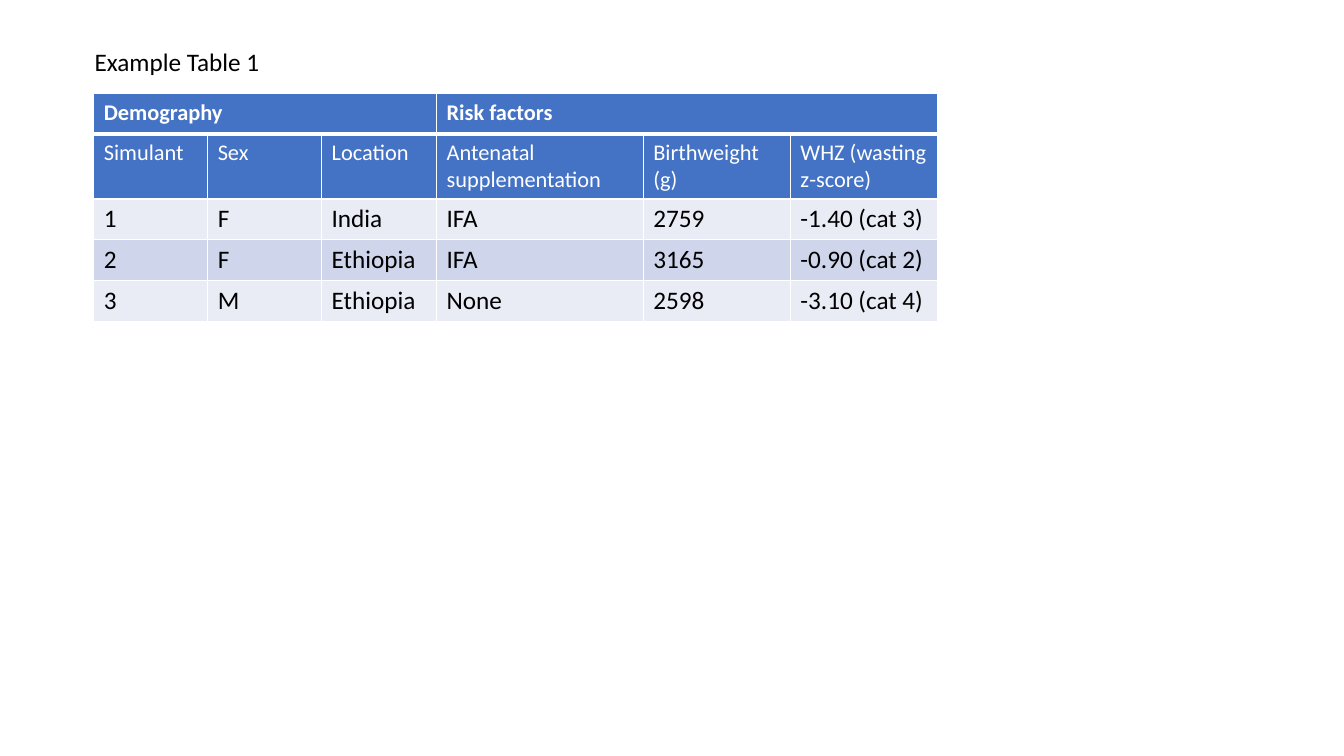
from lxml import etree
from pptx import Presentation
from pptx.dml.color import RGBColor
from pptx.enum.text import MSO_AUTO_SIZE
from pptx.oxml.ns import qn
from pptx.util import Inches, Pt

WHITE = RGBColor(0xFF, 0xFF, 0xFF)
BLACK = RGBColor(0x00, 0x00, 0x00)
HEADER_BLUE = RGBColor(0x44, 0x72, 0xC4)
BANDS = (RGBColor(0xE9, 0xEB, 0xF5), RGBColor(0xCF, 0xD5, 0xEA))
FONT = "Calibri"

COLUMN_WIDTHS = (1.13, 1.13, 1.14, 2.05, 1.46, 1.46)
ROW_HEIGHTS = (0.4, 0.63, 0.4, 0.4, 0.4)
GROUPS = (("Demography", 0, 2), ("Risk factors", 3, 5))
HEADINGS = ("Simulant", "Sex", "Location", "Antenatal supplementation",
            "Birthweight (g) ", "WHZ (wasting z-score)")
SIMULANTS = (
    ("1", "F", "India", "IFA", "2759", "-1.40 (cat 3)"),
    ("2", "F", "Ethiopia", "IFA", "3165", "-0.90 (cat 2)"),
    ("3", "M", "Ethiopia", "None", "2598", "-3.10 (cat 4)"),
)


def write_text(frame, text, size, color, bold=False):
    """Put one styled run into a text frame."""
    run = frame.paragraphs[0].add_run()
    run.text = text
    run.font.name = FONT
    run.font.size = Pt(size)
    run.font.bold = bold
    run.font.color.rgb = color


def set_borders(cell, top=1, bottom=1):
    """Draw white cell borders; widths are in points."""
    properties = cell._tc.get_or_add_tcPr()
    widths = (("a:lnL", 1), ("a:lnR", 1), ("a:lnT", top), ("a:lnB", bottom))
    for position, (tag, width) in enumerate(widths):
        line = etree.Element(qn(tag), w=str(Pt(width)))
        fill = etree.SubElement(line, qn("a:solidFill"))
        etree.SubElement(fill, qn("a:srgbClr"), val=str(WHITE))
        properties.insert(position, line)


def fill_row(table, row, texts, fill, size, color):
    """Fill one plain row of the table with text and a background."""
    for column, text in enumerate(texts):
        cell = table.cell(row, column)
        cell.fill.solid()
        cell.fill.fore_color.rgb = fill
        write_text(cell.text_frame, text, size, color)


def add_group_headers(table):
    """Merge and label the group headings in the top row."""
    for label, first, last in GROUPS:
        for column in range(first, last + 1):
            cell = table.cell(0, column)
            cell.fill.solid()
            cell.fill.fore_color.rgb = HEADER_BLUE
        table.cell(0, first).merge(table.cell(0, last))
        write_text(table.cell(0, first).text_frame, label, 16, WHITE, bold=True)


def add_simulant_table(slide):
    """Add the table of simulants with its two header rows."""
    frame = slide.shapes.add_table(
        len(ROW_HEIGHTS), len(COLUMN_WIDTHS), Inches(0.93), Inches(0.93),
        Inches(sum(COLUMN_WIDTHS)), Inches(sum(ROW_HEIGHTS)))
    table = frame.table
    for column, width in zip(table.columns, COLUMN_WIDTHS):
        column.width = Inches(width)
    for row, height in zip(table.rows, ROW_HEIGHTS):
        row.height = Inches(height)

    add_group_headers(table)
    fill_row(table, 1, HEADINGS, HEADER_BLUE, 16, WHITE)
    for index, simulant in enumerate(SIMULANTS):
        fill_row(table, index + 2, simulant, BANDS[index % 2], 18, BLACK)

    for index, row in enumerate(table.rows):
        for cell in row.cells:
            set_borders(cell, top=3 if index == 1 else 1,
                        bottom=3 if index == 0 else 1)


def add_caption(slide, text):
    """Add the caption above the table."""
    box = slide.shapes.add_textbox(Inches(0.84), Inches(0.41),
                                   Inches(1.85), Inches(0.4))
    box.text_frame.word_wrap = False
    box.text_frame.auto_size = MSO_AUTO_SIZE.SHAPE_TO_FIT_TEXT
    write_text(box.text_frame, text, 18, BLACK)


def main():
    """Build and save the slide."""
    presentation = Presentation()
    presentation.slide_width = Inches(13.33)
    presentation.slide_height = Inches(7.5)
    slide = presentation.slides.add_slide(presentation.slide_layouts[6])
    add_simulant_table(slide)
    add_caption(slide, "Example Table 1")
    presentation.save("out.pptx")


main()
